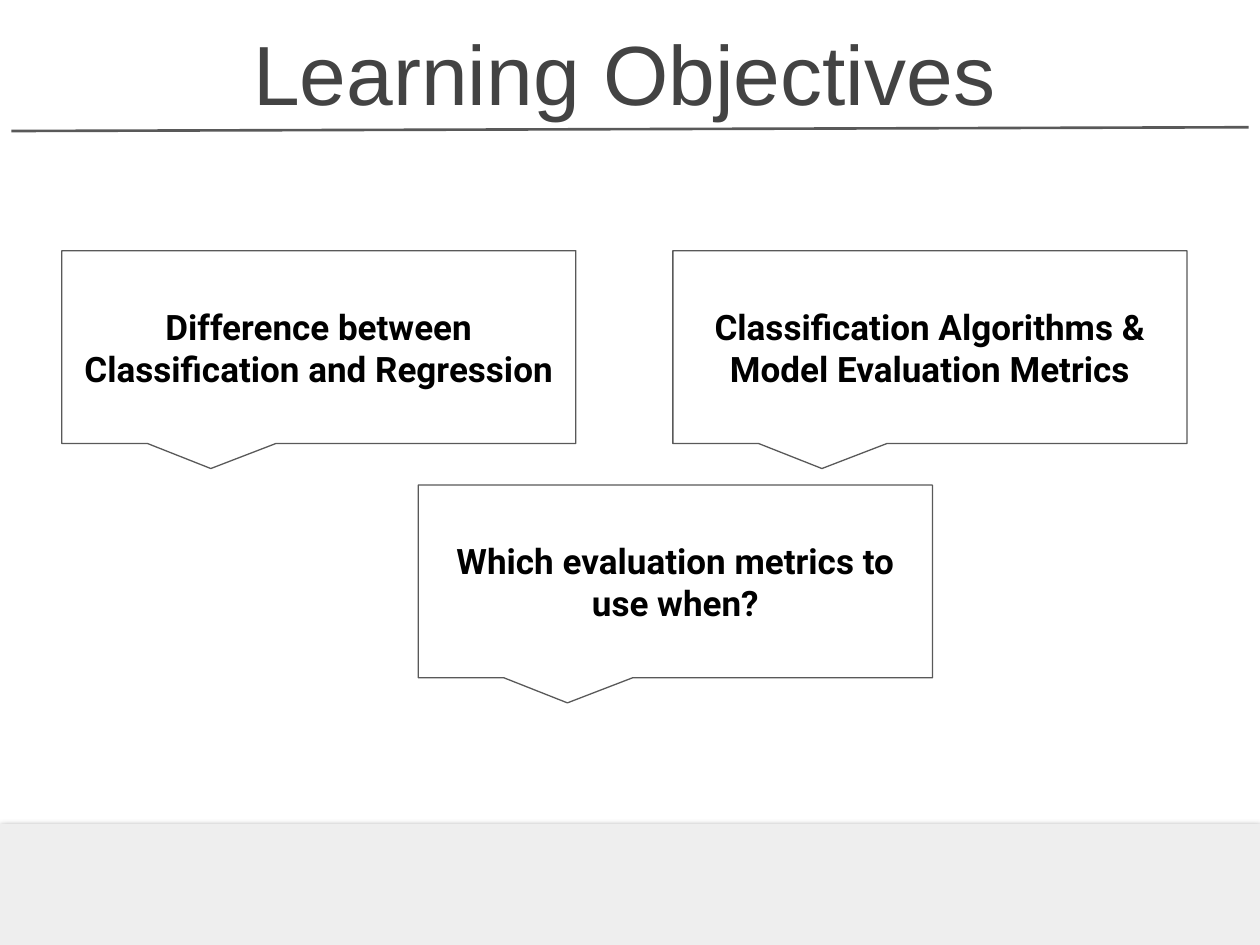
import pptx
import pptx.dml.color
import pptx.enum.shapes
import pptx.enum.text
import pptx.oxml
import pptx.oxml.ns
import pptx.util

RGBColor = pptx.dml.color.RGBColor
WHITE = RGBColor(0xFF, 0xFF, 0xFF)
BLACK = RGBColor(0x00, 0x00, 0x00)
RULE_GREY = RGBColor(0x59, 0x59, 0x59)
TITLE_GREY = RGBColor(0x43, 0x43, 0x43)
FOOTER_GREY = RGBColor(0xEE, 0xEE, 0xEE)
EFFECTS = '<a:effectLst xmlns:a="http://schemas.openxmlformats.org/drawingml/2006/main">%s</a:effectLst>'
SOFT_SHADOW = (
    '<a:outerShdw blurRad="57150" dist="19050" dir="5400000" algn="bl" rotWithShape="0">'
    '<a:srgbClr val="000000"><a:alpha val="50000"/></a:srgbClr></a:outerShdw>'
)
inches = pptx.util.Inches
shapes = pptx.enum.shapes.MSO_SHAPE


def write_text(box, text, font, size, color, bold=False, anchor="MIDDLE"):
    """Put one centred, wrapped paragraph into a box with even insets."""
    frame = box.text_frame
    frame.word_wrap = True
    frame.vertical_anchor = pptx.enum.text.MSO_ANCHOR[anchor]
    frame.margin_left = frame.margin_right = inches(0.1)
    frame.margin_top = frame.margin_bottom = inches(0.1)
    para = frame.paragraphs[0]
    para.alignment = pptx.enum.text.PP_ALIGN.CENTER
    span = para.add_run()
    span.text = text
    span.font.name = font
    span.font.size = pptx.util.Pt(size)
    span.font.bold = bold
    span.font.color.rgb = color


deck = pptx.Presentation()
deck.slide_width, deck.slide_height = inches(10), inches(7.5)
page = deck.slides.add_slide(deck.slide_layouts[6])
page.background.fill.solid()
page.background.fill.fore_color.rgb = WHITE

# Rule under the title
rule = page.shapes.add_connector(
    pptx.enum.shapes.MSO_CONNECTOR.STRAIGHT,
    inches(0.09), inches(1.04), inches(9.91), inches(1.01))
rule.line.color.rgb = RULE_GREY
rule.line.width = pptx.util.Pt(1.5)
rule._element.spPr.append(pptx.oxml.parse_xml(EFFECTS % ""))

# Footer band
footer = page.shapes.add_shape(
    shapes.RECTANGLE, 0, inches(6.54), deck.slide_width, inches(1.01))
footer.fill.solid()
footer.fill.fore_color.rgb = FOOTER_GREY
footer.line.fill.background()
footer._element.spPr.append(pptx.oxml.parse_xml(EFFECTS % SOFT_SHADOW))

title = page.shapes.add_textbox(inches(1.3), inches(0.19), inches(7.31), inches(0.88))
write_text(title, "Learning Objectives", font="Arial", size=48,
           color=TITLE_GREY, anchor="BOTTOM")

# Objectives: two callouts side by side, one below
TOP_ROW, BOTTOM_ROW = 1.99, 3.85
objectives = [
    (0.49, TOP_ROW, "Difference between Classification and Regression"),
    (5.34, TOP_ROW, "Classification Algorithms & Model Evaluation Metrics"),
    (3.32, BOTTOM_ROW, "Which evaluation metrics to use when?"),
]
for left, top, text in objectives:
    callout = page.shapes.add_shape(
        shapes.ROUNDED_RECTANGULAR_CALLOUT,
        inches(left), inches(top), inches(4.08), inches(1.53))
    for index, value in enumerate((-0.21, 0.63, 0)):
        callout.adjustments[index] = value
    callout.shadow.inherit = False
    callout.fill.background()
    callout.line.color.rgb = RULE_GREY
    callout.line.width = pptx.util.Pt(0.75)
    write_text(callout, text, font="Roboto", size=20, color=BLACK, bold=True)

deck.save("out.pptx")
